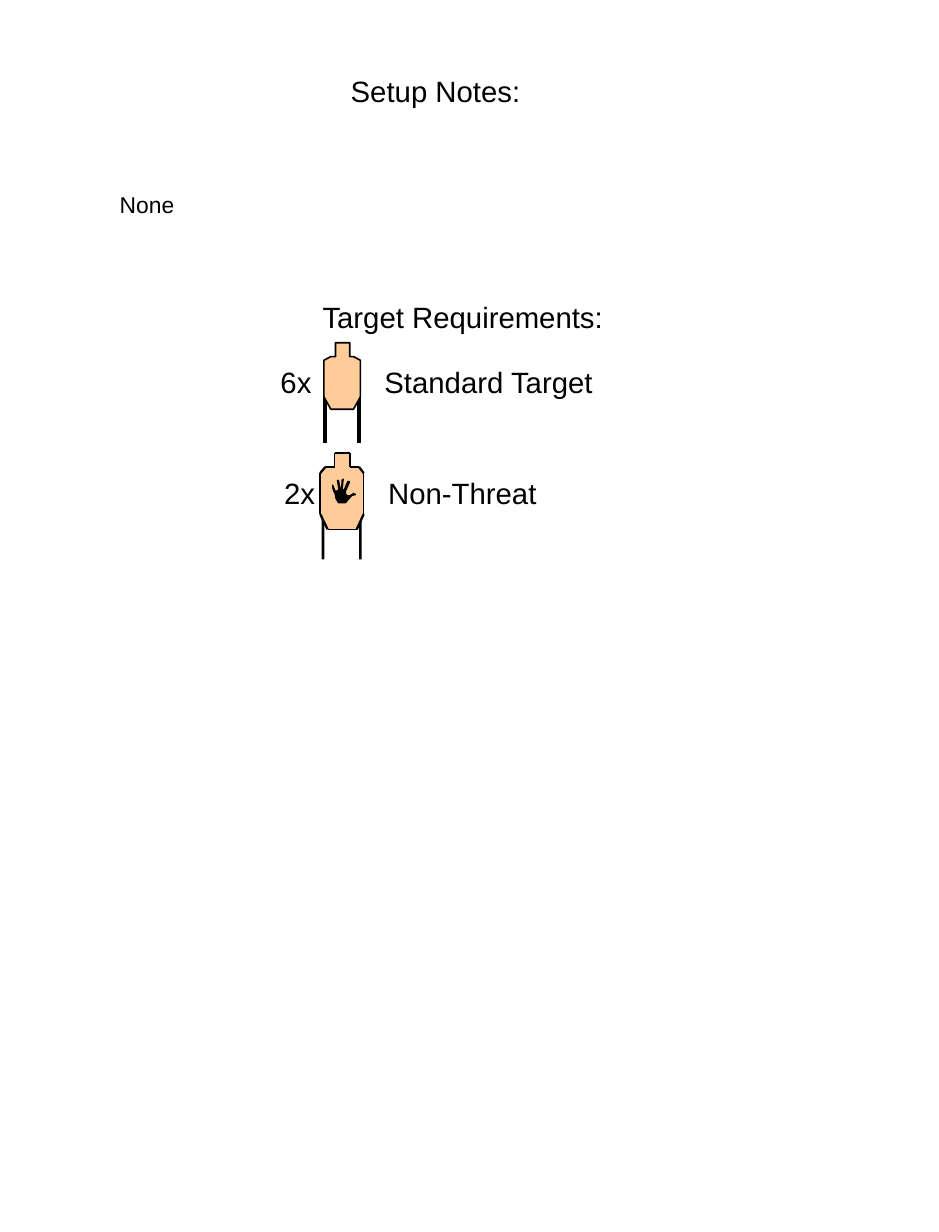
from dataclasses import dataclass
from itertools import pairwise

from lxml import etree
from pptx import Presentation
from pptx.dml.color import RGBColor
from pptx.enum.shapes import MSO_CONNECTOR, MSO_SHAPE
from pptx.enum.text import MSO_AUTO_SIZE
from pptx.oxml.ns import qn
from pptx.shapes.autoshape import Shape
from pptx.shapes.shapetree import GroupShapes, SlideShapes
from pptx.util import Cm, Pt

STRAIGHT = MSO_CONNECTOR.STRAIGHT
RECTANGLE = MSO_SHAPE.RECTANGLE
GROW = MSO_AUTO_SIZE.SHAPE_TO_FIT_TEXT

BLACK = "000000"
LABEL_TAB = 2.25
Point = tuple[float, float]


@dataclass(frozen=True)
class Label:
    text: str
    left: float
    top: float
    width: float
    height: float = 1.02
    size: int = 18
    wrap: bool = True


LABELS = [
    Label("Setup Notes:", 7.34, 1.47, 4.22, wrap=False),
    Label("None", 2.34, 4.01, 15.67, height=0.86, size=14),
    Label("Target Requirements:", 6.73, 6.35, 6.86, wrap=False),
    Label("6x\tStandard Target", 5.82, 7.75, 7.34),
    Label("2x\tNon-Threat", 5.9, 10.16, 8.23),
]

STANDARD_OUTLINE = [
    (7.26, 7.42), (7.57, 7.42), (7.57, 7.72), (7.65, 7.72), (7.8, 7.8),
    (7.8, 8.59), (7.65, 8.86), (7.16, 8.86), (7.01, 8.59), (7.01, 7.8),
    (7.16, 7.72), (7.26, 7.72),
]
NON_THREAT_OUTLINE = [
    (7.24, 9.8), (7.24, 10.11), (7.04, 10.11), (6.93, 10.24), (6.93, 11.13),
    (7.09, 11.46), (7.72, 11.46), (7.87, 11.13), (7.87, 10.24),
    (7.77, 10.11), (7.57, 10.11), (7.57, 9.8),
]
HAND_OUTLINE = [
    (7.52, 10.85), (7.52, 10.87), (7.47, 10.9), (7.32, 10.9), (7.29, 10.85),
    (7.26, 10.8), (7.24, 10.69), (7.21, 10.64), (7.19, 10.57), (7.19, 10.49),
    (7.21, 10.49), (7.26, 10.62), (7.29, 10.62), (7.32, 10.59),
    (7.29, 10.41), (7.29, 10.39), (7.34, 10.39), (7.37, 10.57),
    (7.37, 10.59), (7.39, 10.46), (7.39, 10.39), (7.42, 10.36),
    (7.44, 10.36), (7.44, 10.39), (7.42, 10.57), (7.42, 10.59),
    (7.44, 10.59), (7.52, 10.41), (7.57, 10.41), (7.57, 10.46),
    (7.49, 10.64), (7.49, 10.69), (7.52, 10.72), (7.57, 10.72),
    (7.65, 10.67), (7.7, 10.69), (7.7, 10.72), (7.62, 10.74), (7.57, 10.8),
]


def colour(value: str) -> RGBColor:
    return RGBColor.from_string(value)


def add_label(shapes: SlideShapes, label: Label) -> None:
    box = shapes.add_textbox(
        Cm(label.left), Cm(label.top), Cm(label.width), Cm(label.height)
    )
    frame = box.text_frame
    frame.word_wrap = label.wrap
    frame.auto_size = GROW
    para = frame.paragraphs[0]
    if "\t" in label.text:
        stops = etree.SubElement(para._p.get_or_add_pPr(), qn("a:tabLst"))
        etree.SubElement(
            stops, qn("a:tab"), pos=str(Cm(LABEL_TAB)), algn="l"
        )
    span = para.add_run()
    span.text = label.text
    for name, value in {"name": "Arial", "size": Pt(label.size)}.items():
        setattr(span.font, name, value)
    span.font.color.rgb = colour(BLACK)


def paint(shape: Shape, fill: str, line_width: float = 0) -> None:
    shape.shadow.inherit = False
    shape.fill.solid()
    shape.fill.fore_color.rgb = colour(fill)
    if line_width:
        shape.line.color.rgb = colour(BLACK)
        shape.line.width = Pt(line_width)
    else:
        shape.line.fill.background()


def add_outline(
    shapes: GroupShapes, points: list[Point], fill: str, line_width: float = 0
) -> None:
    corners = [(Cm(x), Cm(y)) for x, y in points]
    builder = shapes.build_freeform(*corners[0], scale=1.0)
    builder.add_line_segments(corners[1:], close=True)
    paint(builder.convert_to_shape(), fill, line_width)


def add_line(
    shapes: GroupShapes, start: Point, end: Point, width: float
) -> None:
    line = shapes.add_connector(
        STRAIGHT, Cm(start[0]), Cm(start[1]), Cm(end[0]), Cm(end[1])
    )
    line.line.color.rgb = colour(BLACK)
    line.line.width = Pt(width)
    etree.SubElement(line._element.spPr, qn("a:effectLst"))


def add_standard_target(shapes: GroupShapes) -> None:
    for x in (7.04, 7.77):
        add_line(shapes, (x, 8.48), (x, 9.6), 2.25)
    add_outline(shapes, STANDARD_OUTLINE, "FFCC99", 1)


def add_non_threat(shapes: GroupShapes) -> None:
    for left in (6.96, 7.77):
        post = shapes.add_shape(
            RECTANGLE, Cm(left), Cm(11.02), Cm(0.06), Cm(1.09)
        )
        paint(post, BLACK)
    add_outline(shapes, NON_THREAT_OUTLINE, "FDCC99")
    for start, end in pairwise(NON_THREAT_OUTLINE + NON_THREAT_OUTLINE[:1]):
        slanted = start[0] != end[0] and start[1] != end[1]
        add_line(shapes, start, end, 1.38 if slanted else 1)
    add_outline(shapes, HAND_OUTLINE, BLACK)


def main() -> None:
    deck = Presentation()
    deck.slide_width = Cm(20.32)
    deck.slide_height = Cm(26.67)
    page = deck.slides.add_slide(deck.slide_layouts[6])
    for label in LABELS:
        add_label(page.shapes, label)
    for add_target in (add_standard_target, add_non_threat):
        add_target(page.shapes.add_group_shape().shapes)
    deck.save("out.pptx")


if __name__ == "__main__":
    main()
